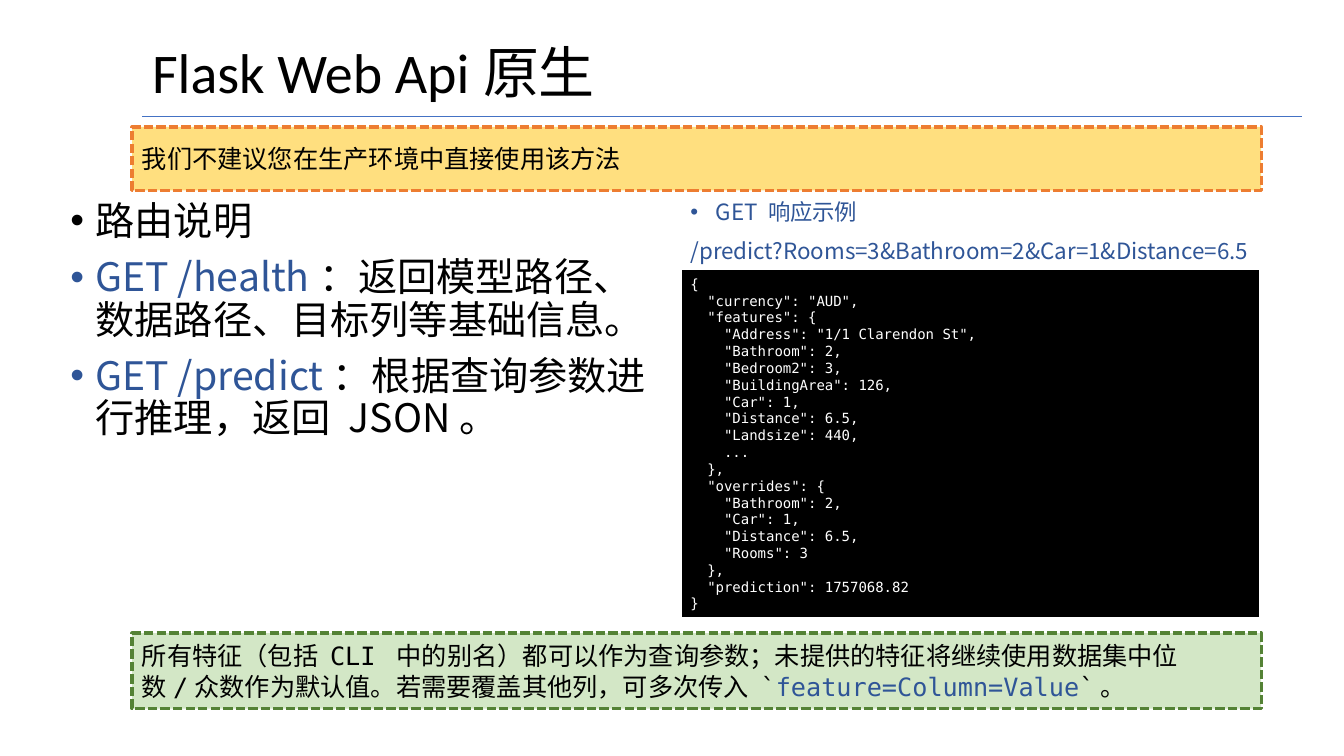
from lxml import etree
from pptx import Presentation, util as u
from pptx.dml.color import RGBColor
from pptx.enum import dml, shapes, text
from pptx.oxml import ns

COLORS = {"black": "000000", "white": "FFFFFF", "blue": "2F5597", "rule": "4472C4",
          "amber": "FFC000", "orange": "ED7D31", "green": "A9D18E", "dark_green": "548235"}
CJK, MONO = "Noto Sans CJK SC", "DejaVu Sans Mono"

TITLE_FONT = {"name": "Calibri", "size": u.Pt(40)}
ROUTE_FONT = {"name": CJK, "size": u.Pt(28)}
EXAMPLE_FONT = {"name": CJK, "size": u.Pt(16)}
NOTICE_FONT = {"name": MONO, "size": u.Pt(18)}
CODE_FONT = {"name": MONO, "size": u.Pt(10)}
LISTING = {"line_spacing": 0.9, "space_before": u.Pt(10)}

ROUTES = [
    [("路由说明", "black")],
    [("GET /health", "blue"), ("：返回模型路径、数据路径、目标列等基础信息。", "black")],
    [("GET /predict", "blue"), ("：根据查询参数进行推理，返回 JSON。", "black")],
]
EXAMPLE = [
    [("GET 响应示例", "blue")],
    [("/predict?Rooms=3&Bathroom=2&Car=1&Distance=6.5", "blue")],
]
WARNING = [[("我们不建议您在生产环境中直接使用该方法", "black")]]
HINT = [[("所有特征（包括 CLI 中的别名）都可以作为查询参数；未提供的特征将继续使用数据集中位数/众数作为默认值。"
          "若需要覆盖其他列，可多次传入 `", "black"),
         ("feature=Column=Value", "blue"), ("`。", "black")]]
RESPONSE = """{
  "currency": "AUD",
  "features": {
    "Address": "1/1 Clarendon St",
    "Bathroom": 2,
    "Bedroom2": 3,
    "BuildingArea": 126,
    "Car": 1,
    "Distance": 6.5,
    "Landsize": 440,
    ...
  },
  "overrides": {
    "Bathroom": 2,
    "Car": 1,
    "Distance": 6.5,
    "Rooms": 3
  },
  "prediction": 1757068.82
}"""


def rgb(name):
    return RGBColor.from_string(COLORS[name])


def inches(box):
    return [u.Inches(v) for v in box]


def set_attrs(obj, values):
    for key, value in values.items():
        setattr(obj, key, value)


def add_bullet(p):
    pPr = p._p.get_or_add_pPr()
    pPr.set("marL", str(u.Inches(0.25)))
    pPr.set("indent", str(-u.Inches(0.25)))
    etree.SubElement(pPr, ns.qn("a:buFont")).set("typeface", "Arial")
    etree.SubElement(pPr, ns.qn("a:buChar")).set("char", "•")


def write(sp, paragraphs, font, anchor, layout=None, bullets=0):
    """Fill a shape with paragraphs of (text, color) runs."""
    tf = sp.text_frame
    set_attrs(tf, {"word_wrap": True, "vertical_anchor": anchor})
    for i, runs in enumerate(paragraphs):
        p = tf.add_paragraph() if i else tf.paragraphs[0]
        if i < bullets:
            add_bullet(p)
        set_attrs(p, {"alignment": text.PP_ALIGN.LEFT, **(layout or {})})
        if i == 0:
            p.space_before = u.Pt(0)
        for words, color in runs:
            r = p.add_run()
            r.text = words
            set_attrs(r.font, font)
            r.font.color.rgb = rgb(color)
            etree.SubElement(r._r.get_or_add_rPr(), ns.qn("a:ea")).set("typeface", CJK)


def add_title(s, box, words):
    left, top, width, height = box
    sp = s.shapes.add_textbox(*inches(box))
    write(sp, [[(words, "black")]], TITLE_FONT, text.MSO_ANCHOR.MIDDLE, {"line_spacing": 0.9})
    # Rule under the title
    y = top + 0.92
    rule = s.shapes.add_connector(shapes.MSO_CONNECTOR.STRAIGHT,
                                  *inches((left, y, left + width, y)))
    rule.line.color.rgb = rgb("rule")
    rule.line.width = u.Pt(0.25)
    etree.SubElement(rule._element.spPr, ns.qn("a:effectLst"))


def add_listing(s, box, paragraphs, font, bullets):
    sp = s.shapes.add_textbox(*inches(box))
    write(sp, paragraphs, font, text.MSO_ANCHOR.TOP, LISTING, bullets)


def add_panel(s, box, paragraphs, font, fill, line, callout=True):
    """Bordered box; a callout is half transparent with a dashed border."""
    sp = s.shapes.add_shape(shapes.MSO_SHAPE.RECTANGLE, *inches(box))
    sp.shadow.inherit = False
    sp.fill.solid()
    sp.fill.fore_color.rgb = rgb(fill)
    sp.line.color.rgb = rgb(line)
    sp.line.width = u.Pt(2.25)
    if callout:
        sp.line.dash_style = dml.MSO_LINE.SQUARE_DOT
        color = sp._element.spPr.find(ns.qn("a:solidFill")).find(ns.qn("a:srgbClr"))
        etree.SubElement(color, ns.qn("a:alpha")).set("val", "50000")
    write(sp, paragraphs, font, text.MSO_ANCHOR.MIDDLE)


def main():
    prs = Presentation()
    set_attrs(prs, {"slide_width": u.Inches(13.33), "slide_height": u.Inches(7.5)})
    s = prs.slides.add_slide(prs.slide_layouts[6])

    # Heading and warning
    add_title(s, (1.41, 0.23, 11.5, 1.04), "Flask Web Api原生")
    add_panel(s, (1.31, 1.26, 11.2, 0.63), WARNING, NOTICE_FONT, "amber", "orange")

    # Routes on the left, sample response on the right
    add_listing(s, (0.6, 1.95, 5.99, 4.19), ROUTES, ROUTE_FONT, bullets=3)
    code = [[(row, "white")] for row in RESPONSE.split("\n")]
    add_panel(s, (6.75, 2.66, 5.75, 3.48), code, CODE_FONT, "black", "white", callout=False)
    add_listing(s, (6.75, 1.95, 5.99, 4.19), EXAMPLE, EXAMPLE_FONT, bullets=1)

    # Closing hint
    add_panel(s, (1.31, 6.28, 11.2, 0.75), HINT, NOTICE_FONT, "green", "dark_green")
    prs.save("out.pptx")


if __name__ == "__main__":
    main()
